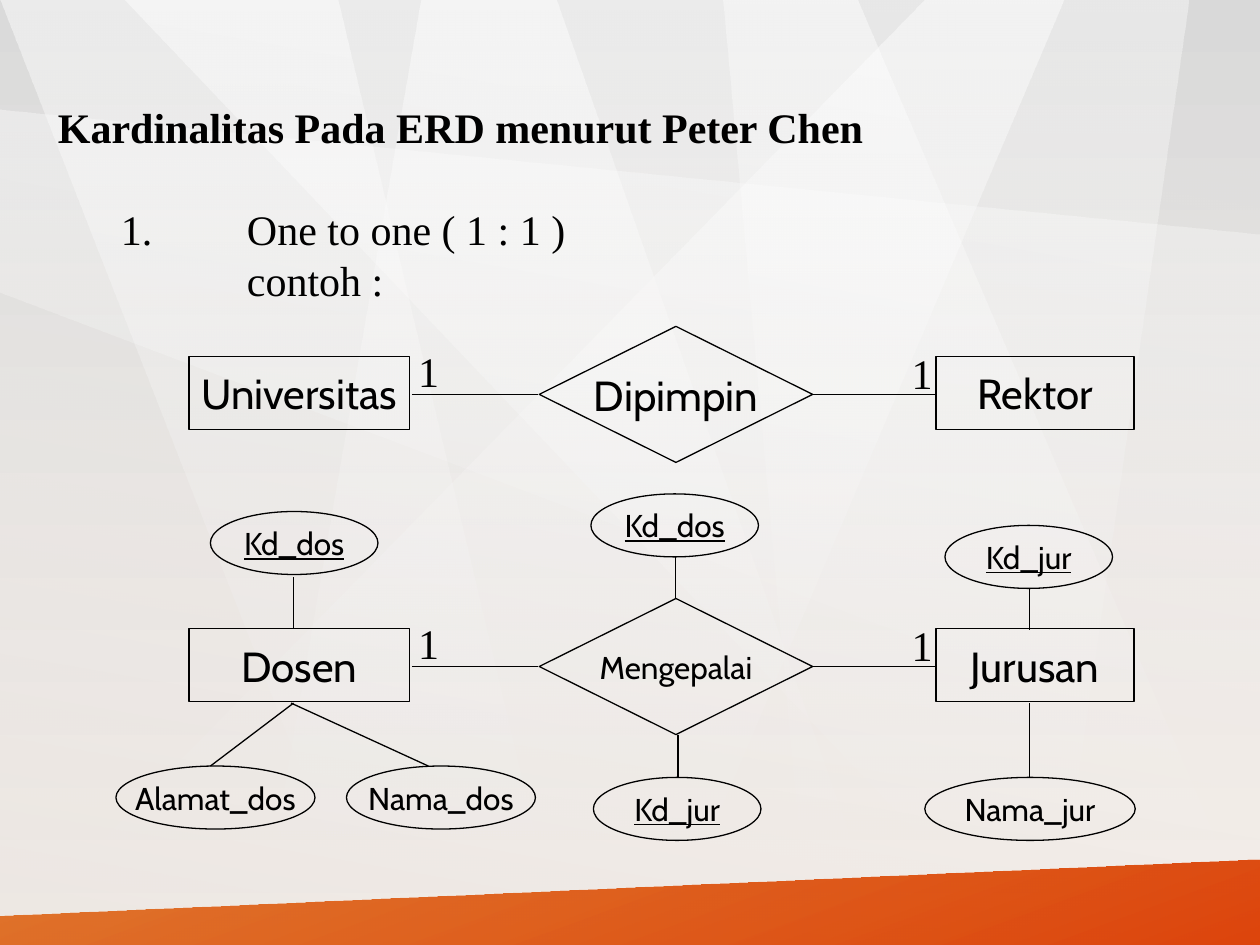
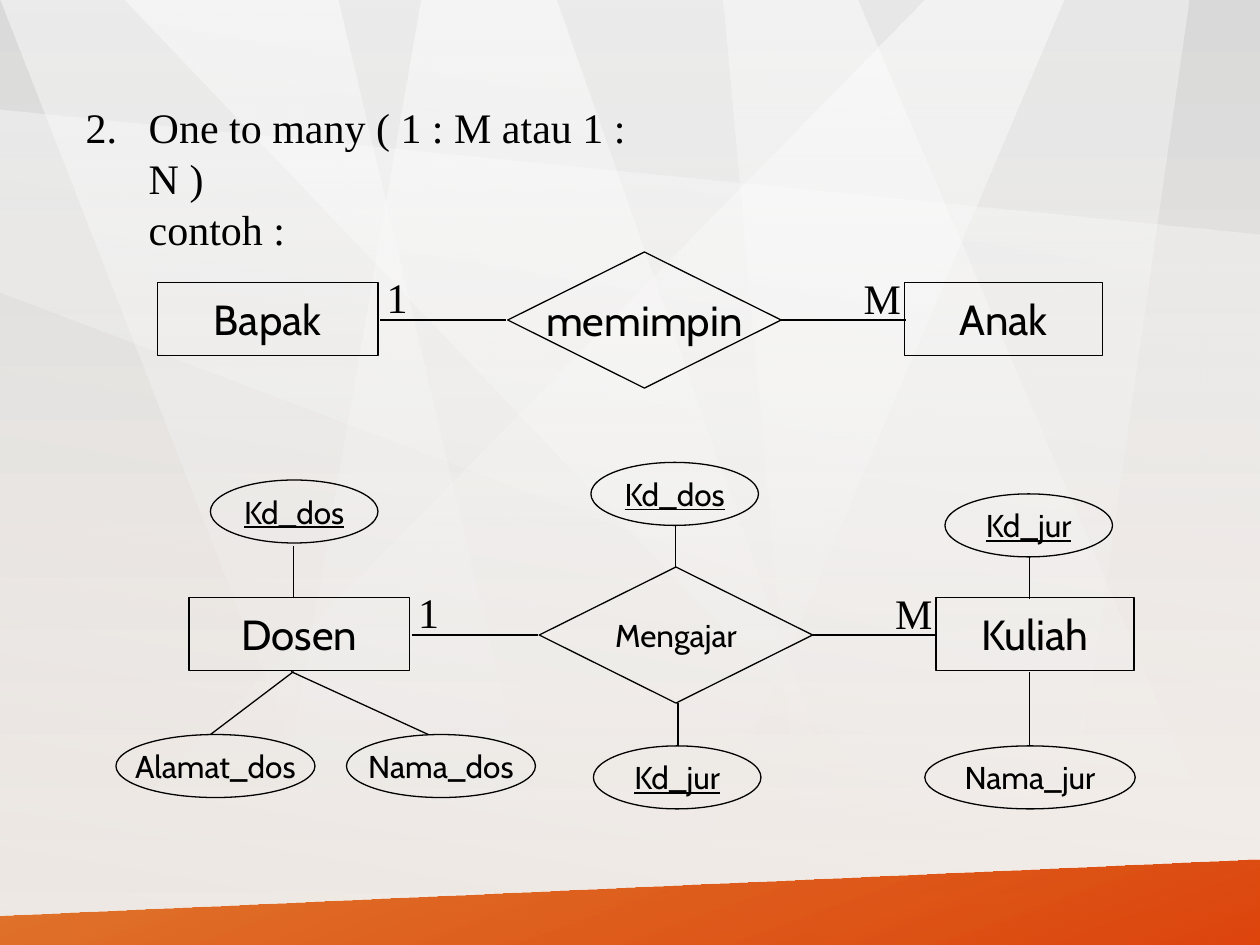
from dataclasses import dataclass

from lxml import etree
from pptx import Presentation
from pptx.dml.color import RGBColor
from pptx.enum import shapes, text
from pptx.oxml.ns import qn
from pptx.util import Inches, Pt

BLACK = RGBColor(0x00, 0x00, 0x00)
WHITE = RGBColor(0xFF, 0xFF, 0xFF)
SILVER = RGBColor(0xD9, 0xD9, 0xD9)
CREAM = RGBColor(0xFC, 0xF5, 0xEF)
GREY = RGBColor(0xBF, 0xBF, 0xBF)
ORANGE = RGBColor(0xDD, 0x59, 0x00)
RED_ORANGE = RGBColor(0xDC, 0x3C, 0x00)

SERIF = "Times New Roman"
SANS = "Cabin"
LARGE, SMALL = 24, 18
SERIF_SPACING = Pt(29.2)
OUTLINE = Pt(0.75)
ENTITY_HEIGHT = 0.58

RECTANGLE = shapes.MSO_SHAPE.RECTANGLE
DIAMOND = shapes.MSO_SHAPE.DIAMOND
OVAL = shapes.MSO_SHAPE.OVAL
LEFT, CENTER, RIGHT = text.PP_ALIGN.LEFT, text.PP_ALIGN.CENTER, text.PP_ALIGN.RIGHT


@dataclass(frozen=True)
class Gradient:
    """Two colours with their opacities in percent; the angle runs clockwise."""
    start: RGBColor
    start_alpha: int
    end: RGBColor
    end_alpha: int
    angle: int = 90


@dataclass(frozen=True)
class Panel:
    gradient: Gradient
    corners: tuple


@dataclass(frozen=True)
class Relation:
    """An entity, a relationship and an entity; top is that of the entities."""
    left_entity: str
    verb: str
    right_entity: str
    right_count: str
    top: float
    shift: float = 0
    verb_size: int = LARGE


@dataclass(frozen=True)
class Attribute:
    """An oval; top is measured from the top of the entities."""
    name: str
    left: float
    top: float
    width: float = 1.33
    is_key: bool = False


BACKDROP = Gradient(SILVER, 50, CREAM, 100)
BEAM = Gradient(WHITE, 50, WHITE, 0)
FAINT_BEAM = Gradient(WHITE, 40, WHITE, 0)
PANELS = (
    Panel(BEAM, ((7.34, 0), (0, 7.5), (5.26, 7.5), (8.44, 0))),
    Panel(BEAM, ((0, 0), (2.68, 0), (4.45, 7.5), (2.93, 7.5))),
    Panel(BEAM, ((0.99, 0), (6.8, 0), (10, 7.5), (8.12, 7.5))),
    Panel(FAINT_BEAM, ((5.74, 0), (6.42, 7.5), (8.36, 7.5), (9.43, 0))),
    Panel(BEAM, ((4.41, 0), (3.34, 0), (2.04, 7.5), (7.04, 7.5))),
    Panel(FAINT_BEAM, ((0, 0.87), (10, 1.86), (10, 6.1), (0, 2.32))),
    Panel(Gradient(GREY, 25, WHITE, 0, 280), ((0, 0), (10, 0), (10, 7.5), (0, 7.5))),
    Panel(Gradient(ORANGE, 80, RED_ORANGE, 95, 70),
          ((0, 7.27), (10, 6.82), (10, 7.5), (0, 7.5))),
)

ATTRIBUTES = (
    Attribute("Kd_dos", 1.67, -0.93, is_key=True),
    Attribute("Kd_dos", 4.69, -1.07, is_key=True),
    Attribute("Alamat_dos", 0.92, 1.09, 1.58),
    Attribute("Nama_dos", 2.75, 1.09, 1.5),
    Attribute("Kd_jur", 4.71, 1.18, is_key=True),
    Attribute("Kd_jur", 7.5, -0.82, is_key=True),
    Attribute("Nama_jur", 7.34, 1.18, 1.67),
)
# Start and end of each line, with heights from the top of the entities.
ATTRIBUTE_LINES = (
    (2.33, -0.41, 2.33, 0), (5.36, -0.24, 5.36, -0.57),
    (2.33, 0.59, 1.67, 1.09), (2.31, 0.59, 3.4, 1.09),
    (5.38, 0.84, 5.38, 1.18), (8.17, -0.32, 8.17, 0.01), (8.17, 0.59, 8.17, 1.18),
)


def paint(fill, root, gradient: Gradient) -> None:
    """Apply a gradient to a fill that is the only gradient below root."""
    fill.gradient()
    fill.gradient_angle = 360 - gradient.angle
    for stop, color in zip(fill.gradient_stops, (gradient.start, gradient.end)):
        stop.color.rgb = color
    alphas = (gradient.start_alpha, gradient.end_alpha)
    for color, alpha in zip(root.iter(qn("a:srgbClr")), alphas):
        etree.SubElement(color, qn("a:alpha")).set("val", str(alpha * 1000))


def decorate(layout, page) -> None:
    """Draw the backdrop panels on a page and move them to its layout."""
    paint(layout.background.fill, layout.element, BACKDROP)
    for number, panel in enumerate(PANELS, start=20):
        points = [(Inches(x), Inches(y)) for x, y in panel.corners]
        builder = page.shapes.build_freeform(*points[0])
        builder.add_line_segments(points[1:], close=True)
        shape = builder.convert_to_shape()
        shape.shadow.inherit = False
        shape.line.fill.background()
        paint(shape.fill, shape.element.spPr, panel.gradient)
        shape.element.nvSpPr.cNvPr.set("id", str(number))
        layout.shapes.element.append(shape.element)


def write(para, words: str, font: str, size: int = LARGE, align=LEFT,
          bold: bool = False, underline: bool = False) -> None:
    para.alignment = align
    para.space_before = Pt(0)
    if font == SERIF:
        para.line_spacing = SERIF_SPACING
    span = para.add_run()
    span.text = words
    span.font.name = font
    span.font.size = Pt(size)
    span.font.bold = bold
    span.font.underline = underline
    span.font.color.rgb = BLACK


def place(box, left: float, top: float, width: float, height: float) -> None:
    box.left, box.top = Inches(left), Inches(top)
    box.width, box.height = Inches(width), Inches(height)
    frame = box.text_frame
    frame.word_wrap = False
    frame.auto_size = text.MSO_AUTO_SIZE.NONE
    frame.vertical_anchor = text.MSO_ANCHOR.TOP


def add_heading(page, words: str) -> None:
    box = page.shapes.title
    place(box, 0.36, 0.75, 6.66, 0.5)
    write(box.text_frame.paragraphs[0], words, SERIF, bold=True)


def add_numbered_item(page, number: int, lines: tuple, left: float, top: float,
                      indent: float) -> None:
    """Fill the body with a numbered line and unnumbered lines below it."""
    box = page.placeholders[1]
    place(box, left, top, 5, 0.9)
    frame = box.text_frame
    for index, words in enumerate(lines):
        para = frame.add_paragraph() if index else frame.paragraphs[0]
        write(para, words, SERIF)
        properties = para._p.get_or_add_pPr()
        properties.set("marL", str(Inches(indent)))
        properties.set("indent", "0" if index else str(-Inches(indent)))
        if index:
            etree.SubElement(properties, qn("a:buNone"))
        else:
            etree.SubElement(properties, qn("a:buFont")).set("typeface", SERIF)
            bullet = etree.SubElement(properties, qn("a:buAutoNum"))
            bullet.set("type", "arabicPeriod")
            bullet.set("startAt", str(number))


def add_node(page, kind, words: str, left: float, top: float, width: float,
             height: float, size: int = LARGE, underline: bool = False) -> None:
    node = page.shapes.add_shape(kind, Inches(left), Inches(top),
                                 Inches(width), Inches(height))
    node.shadow.inherit = False
    node.fill.background()
    node.line.color.rgb = BLACK
    node.line.width = OUTLINE
    frame = node.text_frame
    frame.word_wrap = False
    frame.vertical_anchor = text.MSO_ANCHOR.MIDDLE
    write(frame.paragraphs[0], words, SANS, size, CENTER, underline=underline)


def add_line(page, x1: float, y1: float, x2: float, y2: float) -> None:
    line = page.shapes.add_connector(shapes.MSO_CONNECTOR.STRAIGHT, Inches(x1),
                                     Inches(y1), Inches(x2), Inches(y2))
    line.line.color.rgb = BLACK
    line.line.width = OUTLINE
    etree.SubElement(line.element.spPr, qn("a:effectLst"))


def add_count(page, words: str, left: float, top: float, width: float, align) -> None:
    box = page.shapes.add_textbox(0, 0, 0, 0)
    place(box, left, top, width, 0.5)
    write(box.text_frame.paragraphs[0], words, SERIF, align=align)


def add_relation(page, relation: Relation) -> None:
    top, shift = relation.top, relation.shift
    add_node(page, RECTANGLE, relation.left_entity, 1.5 + shift, top, 1.75, ENTITY_HEIGHT)
    add_node(page, RECTANGLE, relation.right_entity, 7.43 + shift, top, 1.57, ENTITY_HEIGHT)
    add_node(page, DIAMOND, relation.verb, 4.28 + shift, top - 0.24, 2.17, 1.08,
             relation.verb_size)
    for start in (3.27, 6.44):
        add_line(page, start + shift, top + 0.3, start + shift + 1, top + 0.3)
    add_count(page, "1", 3.22 + shift, top - 0.14, 0.37, LEFT)
    width = 0.37 if relation.right_count == "1" else 0.5
    add_count(page, relation.right_count, 7.5 + shift - width, top - 0.13, width, RIGHT)


def add_attributes(page, entity_top: float) -> None:
    for item in ATTRIBUTES:
        add_node(page, OVAL, item.name, item.left, entity_top + item.top, item.width,
                 0.5, SMALL, item.is_key)
    for x1, y1, x2, y2 in ATTRIBUTE_LINES:
        add_line(page, x1, entity_top + y1, x2, entity_top + y2)


def add_diagrams(page, simple: Relation, detailed: Relation) -> None:
    add_relation(page, simple)
    add_relation(page, detailed)
    add_attributes(page, detailed.top)


def main() -> None:
    deck = Presentation()
    deck.slide_width, deck.slide_height = Inches(10), Inches(7.5)
    layout = deck.slide_layouts[1]

    page = deck.slides.add_slide(layout)
    decorate(layout, page)
    add_heading(page, "Kardinalitas Pada ERD menurut Peter Chen")
    add_numbered_item(page, 1, ("One to one ( 1 : 1 )", "contoh :"), 0.86, 1.56, 1)
    add_diagrams(page,
                 Relation("Universitas", "Dipimpin", "Rektor", "1", 2.83),
                 Relation("Dosen", "Mengepalai", "Jurusan", "1", 4.99, verb_size=SMALL))

    page = deck.slides.add_slide(layout)
    title = page.shapes.title.element
    title.getparent().remove(title)
    add_numbered_item(page, 2, ("One to many ( 1 : M atau 1 : N )", "contoh :"),
                      0.58, 0.75, 0.5)
    add_diagrams(page,
                 Relation("Bapak", "memimpin", "Anak", "M", 2.24, shift=-0.25),
                 Relation("Dosen", "Mengajar", "Kuliah", "M", 4.74, verb_size=SMALL))

    deck.save("out.pptx")


if __name__ == "__main__":
    main()
